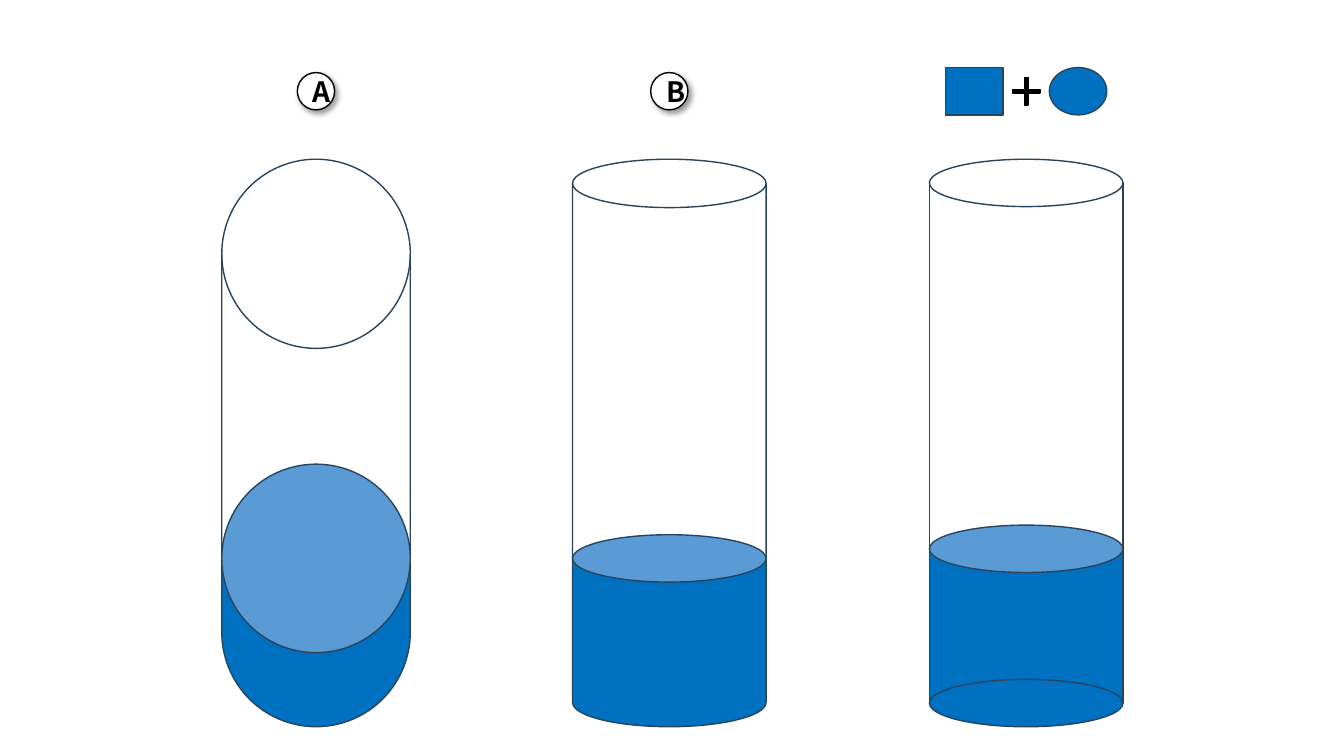
from copy import deepcopy
from dataclasses import dataclass

from lxml.etree import SubElement
from pptx import Presentation
from pptx.dml.color import RGBColor
from pptx.enum.shapes import MSO_SHAPE
from pptx.enum.text import MSO_ANCHOR, PP_ALIGN
from pptx.oxml.ns import qn
from pptx.util import Inches, Pt


@dataclass(frozen=True)
class Theme:
    """Colours, font and sizes of the slide."""
    water: str = "0070C0"
    surface: str = "5B9BD5"
    outline: str = "28445D"
    paper: str = "FFFFFF"
    ink: str = "000000"
    font: str = "Noto Sans CJK JP"
    label_pt: int = 20
    line_pt: int = 1


THEME = Theme()
COLS, ROWS = 133.33, 75
SLIDE_W, SLIDE_H = Inches(13.33), Inches(7.5)
TUBE_A, TUBE_B, TUBE_C = 31.35, 66.4, 101.8
ROUND_W, TUBE_W, RIM_H = 18.7, 19.2, 4.7
TUBE_TOP, TUBE_H = 15.8, 56.3
TUBE_MID = TUBE_TOP + TUBE_H / 2
RIM_Y = TUBE_TOP + RIM_H / 2
BASE_Y = TUBE_TOP + TUBE_H - RIM_H / 2
LABEL_Y, LABEL_SIZE = 9.05, 3.7
ICON_W, ICON_GAP = 5.7, 5.15
WATER_FROM = 0.7


def add_figure(shapes, kind, cx, cy, w, h, fill=THEME.paper, line=THEME.outline):
    """Add a flat preset shape centred on a grid point."""
    col, row = SLIDE_W / COLS, SLIDE_H / ROWS
    sp = shapes.add_shape(kind, round((cx - w / 2) * col), round((cy - h / 2) * row),
                          round(w * col), round(h * row))
    sp.shadow.inherit = False
    sp.fill.solid()
    sp.fill.fore_color.rgb = RGBColor.from_string(fill)
    sp.line.color.rgb = RGBColor.from_string(line)
    sp.line.width = Pt(THEME.line_pt)
    return sp


def fill_with_water(sp):
    """Fill a tube white above and blue below a sharp level."""
    sp.fill.gradient()
    sp.fill.gradient_angle = 270
    stops = sp._element.spPr.find(".//" + qn("a:gsLst"))
    for stop in list(stops):
        stops.append(deepcopy(stop))
    levels = ((0, THEME.paper), (WATER_FROM, THEME.paper),
              (WATER_FROM, THEME.water), (1, THEME.water))
    for stop, (position, colour) in zip(sp.fill.gradient_stops, levels):
        stop.position = position
        stop.color.rgb = RGBColor.from_string(colour)


def add_tube(shapes, kind, cx, w, cy=TUBE_MID, h=TUBE_H):
    """Add a tube body partly filled with water."""
    fill_with_water(add_figure(shapes, kind, cx, cy, w, h))


def add_disc(shapes, cx, cy, w=TUBE_W, h=RIM_H, fill=THEME.surface):
    """Add an elliptical rim, base or water surface."""
    return add_figure(shapes, MSO_SHAPE.OVAL, cx, cy, w, h, fill)


def set_text(sp, text, size=THEME.label_pt, colour=THEME.ink, bold=True,
             align=PP_ALIGN.CENTER, anchor=MSO_ANCHOR.MIDDLE):
    """Write one formatted line into a shape."""
    tf = sp.text_frame
    tf.vertical_anchor = anchor
    p = tf.paragraphs[0]
    p.alignment = align
    r = p.add_run()
    r.text = text
    r.font.name = THEME.font
    r.font.size = Pt(size)
    r.font.bold = bold
    r.font.color.rgb = RGBColor.from_string(colour)
    for tag in ("a:ea", "a:cs"):
        SubElement(r.font._element, qn(tag), typeface=THEME.font)


def add_shadow(sp, blur=4, distance=3, angle=45, opacity=40):
    """Give a shape a soft outer shadow."""
    effects = sp._element.spPr.find(qn("a:effectLst"))
    shadow = SubElement(effects, qn("a:outerShdw"), blurRad=str(Pt(blur)),
                        dist=str(Pt(distance)), dir=str(angle * 60000),
                        algn="tl", rotWithShape="0")
    colour = SubElement(shadow, qn("a:srgbClr"), val=THEME.ink)
    SubElement(colour, qn("a:alpha"), val=str(opacity * 1000))


def add_label(shapes, text, cx):
    """Add a circled letter above a tube."""
    sp = add_figure(shapes, MSO_SHAPE.OVAL, cx, LABEL_Y, LABEL_SIZE, LABEL_SIZE,
                    line=THEME.ink)
    add_shadow(sp)
    set_text(sp, text)


def add_recipe(shapes, cx):
    """Add the grouped rectangle plus ellipse sign above a tube."""
    group = shapes.add_group_shape().shapes
    for kind, side in ((MSO_SHAPE.RECTANGLE, -1), (MSO_SHAPE.OVAL, 1)):
        add_figure(group, kind, cx + side * ICON_GAP, LABEL_Y, ICON_W, RIM_H, THEME.water)
    plus = add_figure(group, MSO_SHAPE.MATH_PLUS, cx, LABEL_Y, LABEL_SIZE, LABEL_SIZE,
                      THEME.ink, THEME.ink)
    plus.adjustments[0] = 0.09


def main():
    """Build the slide of three water tubes."""
    prs = Presentation()
    prs.slide_width, prs.slide_height = SLIDE_W, SLIDE_H
    shapes = prs.slides.add_slide(prs.slide_layouts[6]).shapes

    add_tube(shapes, MSO_SHAPE.FLOWCHART_MAGNETIC_DISK, TUBE_A, ROUND_W)
    add_tube(shapes, MSO_SHAPE.CAN, TUBE_B, TUBE_W)
    add_tube(shapes, MSO_SHAPE.RECTANGLE, TUBE_C, TUBE_W, h=BASE_Y - RIM_Y)
    add_disc(shapes, TUBE_C, RIM_Y, fill=THEME.paper)
    add_disc(shapes, TUBE_C, BASE_Y, fill=THEME.water)

    add_label(shapes, "A", TUBE_A)
    add_label(shapes, "B", TUBE_B)
    add_disc(shapes, TUBE_C, 54.45)
    add_disc(shapes, TUBE_B, 55.4)
    add_disc(shapes, TUBE_A, 55.4, ROUND_W, ROUND_W)
    add_recipe(shapes, TUBE_C)

    prs.save("out.pptx")


if __name__ == "__main__":
    main()
